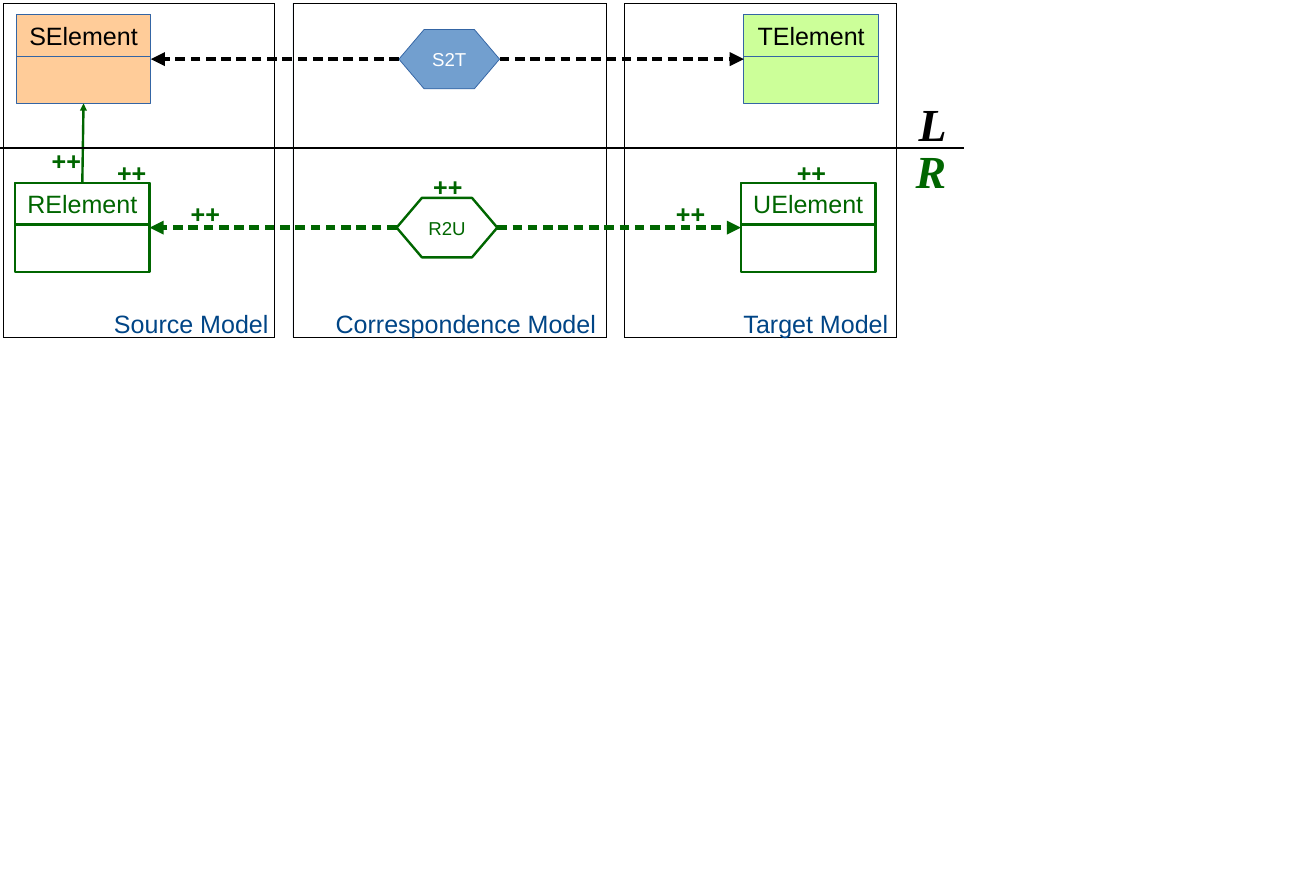
"""Build a triple graph grammar rule: source, correspondence and target models."""
from lxml import etree
from pptx import Presentation
from pptx.dml.color import RGBColor
from pptx.enum.shapes import MSO_CONNECTOR, MSO_SHAPE
from pptx.enum.text import MSO_ANCHOR, PP_ALIGN
from pptx.oxml.ns import qn
from pptx.util import Pt

FRAME, RECTANGLE, HEXAGON = MSO_SHAPE.FRAME, MSO_SHAPE.RECTANGLE, MSO_SHAPE.HEXAGON
STRAIGHT = MSO_CONNECTOR.STRAIGHT
LEFT, CENTER = PP_ALIGN.LEFT, PP_ALIGN.CENTER
TOP, MIDDLE = MSO_ANCHOR.TOP, MSO_ANCHOR.MIDDLE

COLORS = {
    "black": "000000", "white": "FFFFFF", "green": "006600", "navy": "004586",
    "border": "3465A4", "blue": "729FCF", "orange": "FFCC99", "lime": "CCFF99",
}
HAIRLINE, CREATED_LINE, LINK_LINE = 0, 2.3, 4.51
CLASS_WIDTH, CLASS_HEIGHT, HEADER_HEIGHT = 129, 85, 39.6
HEXAGON_WIDTH, HEXAGON_HEIGHT = 96.5, 57
MODEL_TOP, MODEL_HEIGHT, CAPTION_TOP = 2.9, 320.4, 292.3

MODELS = [
    {"name": "Source Model", "left": 2.9, "width": 260.6, "caption": (102.2, 175.7)},
    {"name": "Correspondence Model", "left": 280.8, "width": 300.2, "caption": (314.6, 275)},
    {"name": "Target Model", "left": 598.3, "width": 260.6, "caption": (705.6, 175.7)},
]
ROWS = [
    {"top": 14.2, "line": "border", "weight": HAIRLINE, "link": "black",
     "classes": [("SElement", 15.6, "orange"), ("TElement", 713, "lime")],
     "class_text": "black", "node": ("S2T", 382.4, "blue", "white")},
    {"top": 175.7, "line": "green", "weight": CREATED_LINE, "link": "green",
     "classes": [("RElement", 14.4, None), ("UElement", 710.2, None)],
     "class_text": "green", "node": ("R2U", 380.2, None, "green")},
]
SIDES = [("L", 873.4, 87.8, "black"), ("R", 870.5, 133.2, "green")]
CREATED_MARKS = [(175.7, 187.2), (408.2, 161.3), (640.8, 187.2),
                 (756.7, 147.6), (105.1, 147.6), (42.5, 136.1)]
DIVIDER_TOP, DIVIDER_WIDTH = 141.8, 923.8

deck = Presentation()
deck.slide_width, deck.slide_height = Pt(1261.44), Pt(841.68)
page = deck.slides.add_slide(deck.slide_layouts[6])


def color(name):
    return RGBColor.from_string(COLORS[name])


def write(box, text, size=24, ink="black", font="Arial", bold=False, italic=False,
          align=LEFT, anchor=TOP, wrap=True):
    """Put one formatted line of text into a shape."""
    frame = box.text_frame
    frame.word_wrap, frame.vertical_anchor = wrap, anchor
    paragraph = frame.paragraphs[0]
    paragraph.alignment = align
    span = paragraph.add_run()
    span.text = text
    span.font.name, span.font.size = font, Pt(size)
    span.font.bold, span.font.italic = bold, italic
    span.font.color.rgb = color(ink)


def add_label(text, left, top, width, height=33.8, **style):
    box = page.shapes.add_textbox(Pt(left), Pt(top), Pt(width), Pt(height))
    write(box, text, **style)


def add_box(kind, left, top, width, height, fill, line, weight):
    box = page.shapes.add_shape(kind, Pt(left), Pt(top), Pt(width), Pt(height))
    box.shadow.inherit = False
    if fill:
        box.fill.solid()
        box.fill.fore_color.rgb = color(fill)
    else:
        box.fill.background()
    box.line.color.rgb = color(line)
    box.line.width = Pt(weight)
    return box


def add_line(start, end, ink, weight, dashed=False, arrow=True):
    line = page.shapes.add_connector(STRAIGHT, *(Pt(value) for value in start + end))
    line.line.color.rgb = color(ink)
    line.line.width = Pt(weight)
    outline = line.line._get_or_add_ln()
    if dashed:
        pattern = etree.SubElement(outline, qn("a:custDash"))
        etree.SubElement(pattern, qn("a:ds"), d="205000", sp="120000")
    if arrow:
        etree.SubElement(outline, qn("a:tailEnd"), type="triangle")
    etree.SubElement(line._element.spPr, qn("a:effectLst"))


def add_class(name, left, fill, row):
    border = fill, row["line"], row["weight"]
    add_box(RECTANGLE, left, row["top"], CLASS_WIDTH, CLASS_HEIGHT, *border)
    header = add_box(RECTANGLE, left, row["top"], CLASS_WIDTH, HEADER_HEIGHT, *border)
    write(header, name, ink=row["class_text"], align=CENTER, anchor=MIDDLE, wrap=False)


for model in MODELS:
    frame_box = add_box(FRAME, model["left"], MODEL_TOP, model["width"], MODEL_HEIGHT,
                        "blue", "black", HAIRLINE)
    frame_box.adjustments[0] = 0
    caption_left, caption_width = model["caption"]
    add_label(model["name"], caption_left, CAPTION_TOP, caption_width, ink="navy")

for row in ROWS:
    for name, left, fill in row["classes"]:
        add_class(name, left, fill, row)
    middle = row["top"] + CLASS_HEIGHT / 2
    name, left, fill, ink = row["node"]
    node = add_box(HEXAGON, left, middle - HEXAGON_HEIGHT / 2, HEXAGON_WIDTH,
                   HEXAGON_HEIGHT, fill, row["line"], row["weight"])
    node.adjustments[0] = 0.425
    write(node, name, size=17.9, ink=ink, align=CENTER, anchor=MIDDLE, wrap=False)
    source_left, target_left = (entry[1] for entry in row["classes"])
    for start, end in [(left, source_left + CLASS_WIDTH), (left + HEXAGON_WIDTH, target_left)]:
        add_line((start, middle), (end, middle), row["link"], LINK_LINE, dashed=True)

upper, lower = ROWS
centers = [row["classes"][0][1] + CLASS_WIDTH / 2 for row in ROWS]
add_line((centers[1], lower["top"]), (centers[0], upper["top"] + CLASS_HEIGHT),
         "green", CREATED_LINE)
add_line((0, DIVIDER_TOP), (DIVIDER_WIDTH, DIVIDER_TOP), "black", HAIRLINE, arrow=False)

for letter, left, top, ink in SIDES:
    add_label(letter, left, top, 45.4, height=64, size=44, ink=ink,
              font="Times New Roman", bold=True, italic=True)
for left, top in CREATED_MARKS:
    add_label("++", left, top, 51, ink="green", bold=True)

deck.save("out.pptx")
